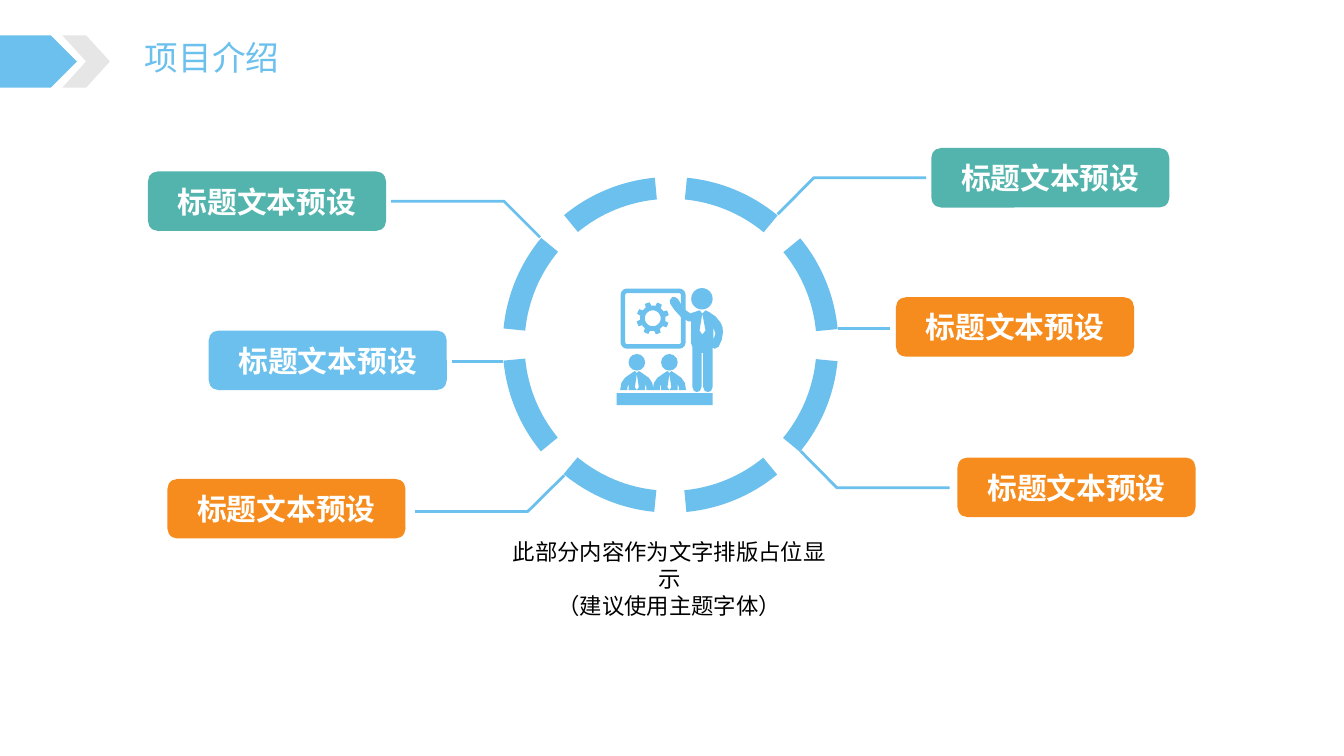
import math
import pptx
import pptx.dml.color
import pptx.enum.shapes
import pptx.enum.text
import pptx.oxml.ns
import pptx.util
from lxml import etree

Cm, Pt = pptx.util.Cm, pptx.util.Pt
RGB = pptx.dml.color.RGBColor
Kind = pptx.enum.shapes.MSO_SHAPE
Align, Anchor = pptx.enum.text.PP_ALIGN, pptx.enum.text.MSO_ANCHOR
qn = pptx.oxml.ns.qn

BLUE, TEAL, ORANGE = RGB(0x6B, 0xC0, 0xED), RGB(0x53, 0xB4, 0xAE), RGB(0xF6, 0x8C, 0x1D)
GREY, WHITE, BLACK = RGB(0xE7, 0xE6, 0xE6), RGB(255, 255, 255), RGB(0, 0, 0)
FONT = "Noto Sans CJK SC"

# Content, all lengths in cm
TITLE = "项目介绍"
NOTE = "此部分内容作为文字排版占位显示\v（建议使用主题字体）"
LABEL = "标题文本预设"
LABELS = [  # left, top, fill, points of the leader line
    (23.47, 3.73, TEAL, [(23.34, 4.48), (20.51, 4.48), (19.6, 5.4)]),
    (24.13, 11.53, ORANGE, [(23.93, 12.29), (21.09, 12.29), (20.18, 11.37)]),
    (22.58, 7.49, ORANGE, [(22.43, 8.27), (21.13, 8.27)]),
    (5.26, 8.33, BLUE, [(11.38, 9.11), (12.67, 9.11)]),
    (3.73, 4.32, TEAL, [(9.86, 5.07), (12.7, 5.07), (13.61, 5.98)]),
    (4.22, 12.07, ORANGE, [(10.46, 12.89), (13.3, 12.89), (14.22, 11.98)]),
]
RING = (16.9, 8.69)
INNER, OUTER = 3.68, 4.23
GEAR = (16.45, 8.02)
SEATS = (16.05, 16.87)
SEAT_TOP = 9.35

# Teacher: body, tie and gap under the arm
BODY = [
    (17.88, 7.87), (17.78, 7.82), (17.7, 7.9), (17.63, 7.82), (17.4, 7.9),
    (17.23, 7.78), (17.09, 7.54), (17.02, 7.49), (16.94, 7.49), (16.88, 7.57),
    (16.89, 7.65), (16.99, 7.8), (17.17, 8), (17.35, 8.1), (17.42, 8.1),
    (17.42, 8.66), (17.45, 8.74), (17.45, 9.75), (17.49, 9.85), (17.56, 9.88),
    (17.64, 9.85), (17.68, 9.75), (17.68, 8.89), (17.72, 8.89), (17.72, 9.75),
    (17.76, 9.85), (17.84, 9.88), (17.92, 9.85), (17.96, 9.75), (17.96, 8.76),
    (18.01, 8.79), (18.11, 8.74), (18.19, 8.56), (18.22, 8.38), (18.21, 8.25),
    (18.16, 8.13), (18.04, 7.98)]
TIE = [(17.7, 8.43), (17.63, 8.33), (17.7, 7.9), (17.78, 8.33)]
GAP = [(17.98, 8.56), (17.98, 8.26), (18.03, 8.41)]

# Right half of a listener, measured from the collar
HALF = [(0, 0.05), (0.05, 0), (0.13, 0.05), (0.3, 0.17), (0.39, 0.3), (0.42, 0.48),
        (0.24, 0.48), (0.24, 0.41), (0.21, 0.33), (0.21, 0.48), (0, 0.48)]
KNOT = [(0, 0.08), (0.05, 0.41), (0, 0.48), (-0.05, 0.41)]

deck = pptx.Presentation()
deck.slide_width, deck.slide_height = Cm(33.87), Cm(19.05)
slide = deck.slides.add_slide(deck.slide_layouts[5])


def style(shape, fill):
    shape.shadow.inherit = False
    shape.line.fill.background()
    shape.fill.solid()
    shape.fill.fore_color.rgb = fill
    return shape


def add(home, kind, left, top, wide, high, fill=BLUE):
    return style(home.add_shape(kind, Cm(left), Cm(top), Cm(wide), Cm(high)), fill)


def trace(home, *loops, close=True):
    pen = None
    for loop in loops:
        dots = [(Cm(x), Cm(y)) for x, y in loop]
        if pen is None:
            pen = home.build_freeform(*dots[0], scale=1.0)
        else:
            pen.move_to(*dots[0])
        pen.add_line_segments(dots[1:], close=close)
    return style(pen.convert_to_shape(), BLUE)


def arc(mid, rad, first, last, steps=16):
    turns = [math.radians(first + (last - first) * i / steps) for i in range(steps + 1)]
    return [(mid[0] + rad * math.cos(t), mid[1] + rad * math.sin(t)) for t in turns]


def write(frame, text, size, color, align, bold=False):
    frame.text = text
    for para in frame.paragraphs:
        para.alignment = align
        for run in para.runs:
            run.font.name, run.font.size, run.font.bold = FONT, Pt(size), bold
            run.font.color.rgb = color
            east = etree.SubElement(run.font._element, qn("a:ea"))
            east.set("typeface", FONT)


# Header
add(slide.shapes, Kind.PENTAGON, 0, 0.89, 1.94, 1.32)
add(slide.shapes, Kind.CHEVRON, 1.57, 0.89, 1.2, 1.32, GREY)
title = slide.shapes.title
title.left, title.top, title.width, title.height = Cm(3.4), Cm(0.79), Cm(3.94), Cm(1.27)
write(title.text_frame, TITLE, 24, BLUE, Align.LEFT)
title.text_frame.word_wrap = False
title.text_frame.vertical_anchor = Anchor.MIDDLE

# Labels and leader lines
for left, top, fill, route in LABELS:
    box = add(slide.shapes, Kind.ROUNDED_RECTANGLE, left, top, 6, 1.5, fill)
    write(box.text_frame, LABEL, 21.3, WHITE, Align.CENTER, True)
    box.text_frame.word_wrap = False
    box.text_frame.vertical_anchor = Anchor.MIDDLE
    line = trace(slide.shapes, route, close=False)
    line.fill.background()
    line.line.color.rgb = BLUE
    line.line.width = Pt(2)

# Ring of eight arcs
ring = slide.shapes.add_group_shape().shapes
for i in range(8):
    a, b = 45 * i + 5.6, 45 * i + 39.6
    trace(ring, arc(RING, OUTER, a, b) + arc(RING, INNER, b, a))

# Teaching icon
icon = slide.shapes.add_group_shape().shapes
board = add(icon, Kind.ROUNDED_RECTANGLE, 15.7, 7.33, 1.52, 1.4)
board.adjustments[0] = 0.07
board.fill.background()
board.line.color.rgb = BLUE
board.line.width = Pt(3.25)
teeth = []
for i in range(8):
    mid = 45 * i - 20
    teeth += arc(GEAR, 0.32, mid - 22.5, mid - 13, 2) + arc(GEAR, 0.41, mid - 9, mid + 9, 2)
    teeth += arc(GEAR, 0.32, mid + 13, mid + 22.5, 2)
trace(icon, teeth, arc(GEAR, 0.2, 360, 0, 32))
trace(icon, BODY, TIE, GAP)
add(icon, Kind.OVAL, 17.42, 7.26, 0.54, 0.54)
for seat in SEATS:
    coat = HALF + [(-x, y) for x, y in HALF[-2:0:-1]]
    trace(icon, *([(seat + x, SEAT_TOP + y) for x, y in loop] for loop in (coat, KNOT)))
    add(icon, Kind.OVAL, seat - 0.21, 8.92, 0.42, 0.42)
add(icon, Kind.RECTANGLE, 15.54, 9.91, 2.42, 0.3)

# Note under the ring
note = slide.shapes.add_textbox(Cm(12.73), Cm(13.56), Cm(8.28), Cm(3.4)).text_frame
note.word_wrap = True
note.margin_left = note.margin_right = note.margin_top = note.margin_bottom = 0
write(note, NOTE, 16, BLACK, Align.CENTER)

deck.save("out.pptx")
